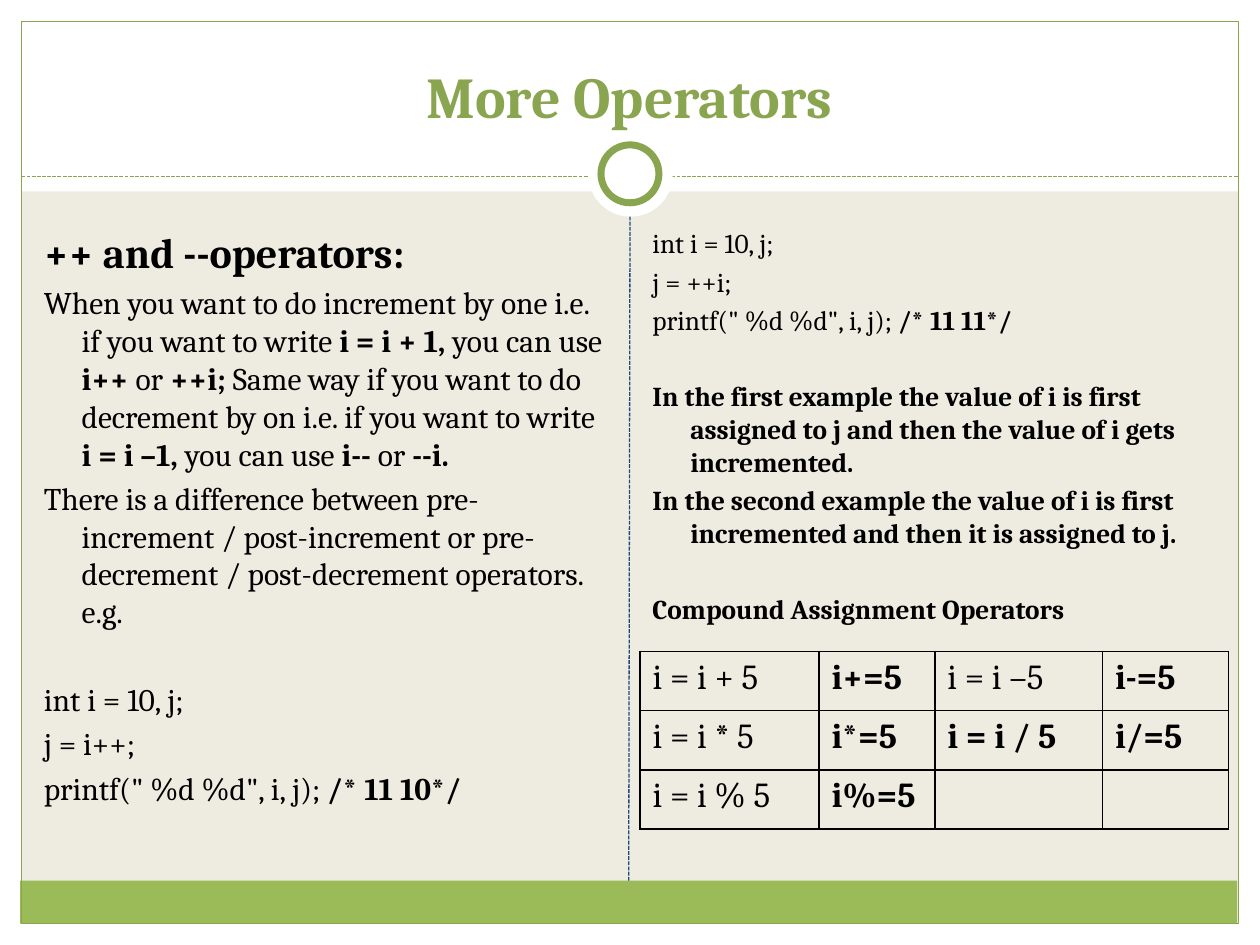
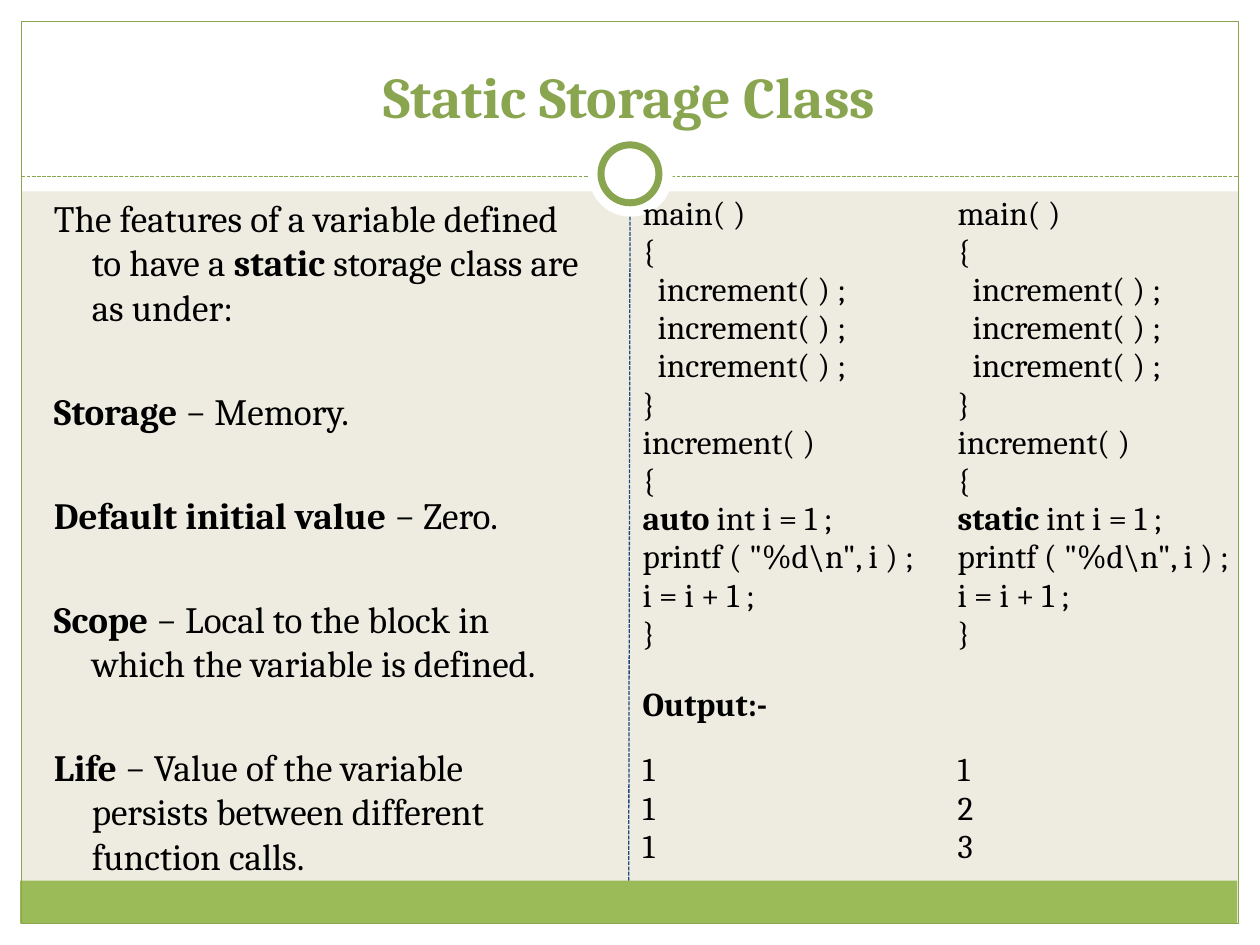
"""Build two slides on C operators and the static storage class."""
import pptx
import pptx.util
import pptx.dml.color
import pptx.enum.dml
import pptx.enum.shapes
import pptx.enum.text
import pptx.oxml
import pptx.oxml.ns

RGB = pptx.dml.color.RGBColor
Pt = pptx.util.Pt
SHAPE = pptx.enum.shapes.MSO_SHAPE
ALIGN = pptx.enum.text.PP_ALIGN
ANCHOR = pptx.enum.text.MSO_ANCHOR

PAPER = RGB(0xEE, 0xEC, 0xE1)
WHITE = RGB(0xFF, 0xFF, 0xFF)
BLACK = RGB(0, 0, 0)
GREEN = RGB(0x9B, 0xBB, 0x59)
OLIVE = RGB(0x89, 0xA5, 0x4F)
NAVY = RGB(0x1F, 0x49, 0x7D)
FONT = "Cambria"
SCALE = 9144
HANG = 30
STEP = 12


def px(n):
    return pptx.util.Emu(n * SCALE)


class Deck:
    def __init__(self):
        self.prs = pptx.Presentation()
        self.prs.slide_width = px(1000)
        self.prs.slide_height = px(750)
        self.slide = None

    def page(self, title):
        self.slide = self.prs.slides.add_slide(self.prs.slide_layouts[6])
        fill = self.slide.background.fill
        fill.solid()
        fill.fore_color.rgb = PAPER
        for box in ((0, 733, 1000, 17), (0, 0, 1000, 152),
                    (0, 0, 17, 750), (983, 0, 17, 750)):
            self.shape(box, WHITE)
        band = self.shape((16, 699, 966, 34), GREEN)
        self.shape((17, 17, 966, 716), line=OLIVE)
        self.dash((17, 140, 983, 140), OLIVE)
        self.shape((467, 105, 67, 67), WHITE, kind=SHAPE.OVAL)
        self.shape((477, 115, 46, 46), WHITE, OLIVE, 4, SHAPE.OVAL)
        self.dash((499, 699, 500, 172), NAVY).begin_connect(band, 0)
        self.title(title)

    def shape(self, box, fill=None, line=None, width=0.75, kind=SHAPE.RECTANGLE):
        item = self.slide.shapes.add_shape(kind, *map(px, box))
        item.shadow.inherit = False
        if fill is None:
            item.fill.background()
        else:
            item.fill.solid()
            item.fill.fore_color.rgb = fill
        if line is None:
            item.line.fill.background()
        else:
            item.line.color.rgb = line
            item.line.width = Pt(width)
        return item

    def dash(self, ends, color):
        kind = pptx.enum.shapes.MSO_CONNECTOR.STRAIGHT
        item = self.slide.shapes.add_connector(kind, *map(px, ends))
        item.line.color.rgb = color
        item.line.width = Pt(0.75)
        item.line.dash_style = pptx.enum.dml.MSO_LINE.SQUARE_DOT
        props = item._element.spPr
        props.append(pptx.oxml.parse_xml(
            f"<a:effectLst {pptx.oxml.ns.nsdecls('a')}/>"))
        return item

    def frame(self, box):
        frame = self.slide.shapes.add_textbox(*map(px, box)).text_frame
        frame.word_wrap = True
        return frame

    def style(self, para, size, color=BLACK):
        """Turn each part between bars into a bold run."""
        parts = para.text.split("|")
        para.text = ""
        for i, part in enumerate(parts):
            if part:
                run = para.add_run()
                run.text = part
                run.font.name = FONT
                run.font.size = Pt(size)
                run.font.bold = i % 2 == 1
                run.font.color.rgb = color

    def title(self, text):
        frame = self.frame((33, 25, 933, 83))
        frame.vertical_anchor = ANCHOR.BOTTOM
        frame.text = f"|{text}|"
        para = frame.paragraphs[0]
        para.alignment = ALIGN.CENTER
        self.style(para, 33, OLIVE)

    def body(self, box, lines, size, gaps=(), head=None):
        frame = self.frame(box)
        frame.text = "\n".join(lines)
        for i, para in enumerate(frame.paragraphs):
            high = head if head and i == 0 else size
            self.style(para, high)
            para.space_before = Pt(round(high * (1.6 if i in gaps else 0.2), 1))
            props = para._p.get_or_add_pPr()
            props.set("marL", str(px(HANG)))
            props.set("indent", str(px(-HANG)))

    def border(self, cell, color):
        fill = "<a:noFill/>"
        if color is not None:
            fill = f'<a:solidFill><a:srgbClr val="{color}"/></a:solidFill>'
        props = cell._tc.get_or_add_tcPr()
        for i, side in enumerate(("lnL", "lnR", "lnT", "lnB")):
            props.insert(i, pptx.oxml.parse_xml(
                f"<a:{side} {pptx.oxml.ns.nsdecls('a')} w=\"{Pt(1)}\">"
                f"{fill}</a:{side}>"))

    def table(self, spot, cols, rows, data, size, line=None):
        box = (*spot, sum(cols), sum(rows))
        grid = self.slide.shapes.add_table(
            len(rows), len(cols), *map(px, box)).table
        grid.first_row = grid.horz_banding = False
        for col, wide in zip(grid.columns, cols):
            col.width = px(wide)
        for row, high, texts in zip(grid.rows, rows, data):
            row.height = px(high)
            for cell, text in zip(row.cells, texts):
                cell.fill.background()
                self.border(cell, line)
                cell.text = text
                for para in cell.text_frame.paragraphs:
                    if para.text.startswith("\t"):
                        para.text = para.text.strip()
                        para._p.get_or_add_pPr().set("marL", str(px(STEP)))
                    self.style(para, size)
        return grid


def more(deck):
    deck.page("More Operators")
    deck.body((25, 175, 467, 525), [
        "|++ and --operators:|",
        "When you want to do increment by one i.e. if you want to write "
        "|i = i + 1, |you can use |i++ |or| ++i; |Same way if you want to do "
        "decrement by on i.e. if you want to write |i = i –1, |you can use "
        "|i-- |or| --i.|",
        "There is a difference between pre-increment / post-increment or "
        "pre-decrement / post-decrement operators. e.g.",
        "int i = 10, j;",
        "j = i++;",
        'printf(" %d %d", i, j); |/* 11 10*/|',
    ], 18, gaps=(3,), head=24)
    deck.body((508, 175, 442, 358), [
        "int i = 10, j;",
        "j = ++i;",
        'printf(" %d %d", i, j); |/* 11 11*/|',
        "|In the first example the value of i is first assigned to j and then "
        "the value of i gets incremented.|",
        "|In the second example the value of i is first incremented and then "
        "it is assigned to j.|",
        "|Compound Assignment Operators|",
    ], 15.6, gaps=(3, 5))
    deck.table((508, 517), (142, 92, 133, 100), (47, 47, 47), [
        ["i = i + 5", "|i+=5|", "i = i –5", "|i-=5|"],
        ["i = i * 5", "|i*=5|", "|i = i / 5|", "|i/=5|"],
        ["i = i % 5", "|i%=5|", "", ""],
    ], 20, BLACK)


def code(word):
    calls = ["\tincrement( ) ;"] * 3
    return "\n".join([
        "main( )", "{", *calls, "}", "increment( )", "{",
        f"|{word} |int i = 1 ;", 'printf ( "%d\\n", i ) ;', "i = i + 1 ;", "}"])


def static(deck):
    deck.page("Static Storage Class")
    deck.body((33, 150, 442, 512), [
        "The features of a variable defined to have a |static |storage class "
        "are as under:",
        "|Storage| − Memory.",
        "|Default initial value |− Zero.",
        "|Scope| − Local to the block in which the variable is defined.",
        "|Life |− Value of the variable persists between different function "
        "calls.",
    ], 21.2, gaps=(1, 2, 3, 4))
    grid = deck.table((500, 150), (250, 250), (383, 52, 124), [
        [code("auto"), code("static")],
        ["|Output:-|", ""],
        ["1\n1\n1", "1\n2\n3"],
    ], 19)
    grid.cell(1, 0).merge(grid.cell(1, 1))


def main():
    deck = Deck()
    more(deck)
    static(deck)
    deck.prs.save("out.pptx")


if __name__ == "__main__":
    main()
